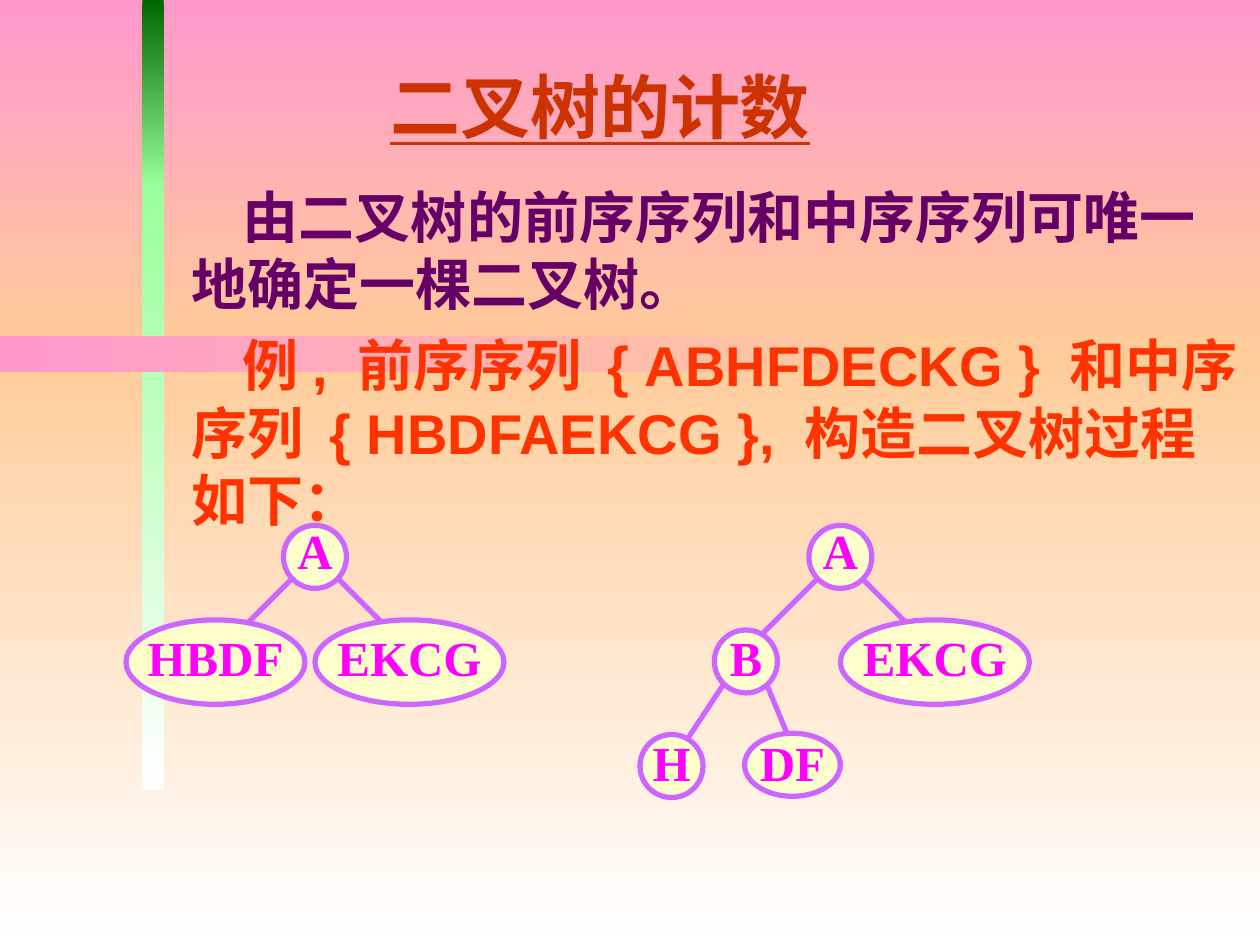
from dataclasses import dataclass

from lxml import etree
from pptx import Presentation
from pptx import util as u
from pptx.dml.color import RGBColor
from pptx.enum import shapes, text
from pptx.oxml import ns


@dataclass(frozen=True)
class Theme:
    pink: str = "FF99CC"
    peach: str = "FFCC99"
    white: str = "FFFFFF"
    dark_green: str = "006600"
    light_green: str = "99FF99"
    title: str = "CC3300"
    statement: str = "660066"
    example: str = "FF3300"
    node_fill: str = "FFFFCC"
    branch: str = "CC66FF"
    label: str = "FF00FF"
    title_font: str = "Roboto Condensed"
    body_font: str = "Arial"
    label_font: str = "Times New Roman"
    title_size: int = 40
    body_size: int = 32
    label_size: int = 28
    branch_width: int = 3


class SlideBuilder:
    def __init__(self, page, theme):
        self.page = page
        self.theme = theme

    def band(self, left, top, width, height, start, end, angle=270):
        shape = self.page.shapes.add_shape(
            shapes.MSO_SHAPE.RECTANGLE, *map(u.Inches, (left, top, width, height)))
        shape.shadow.inherit = False
        shape.line.fill.background()
        shape.fill.gradient()
        shape.fill.gradient_angle = angle
        for stop, color in zip(shape.fill.gradient_stops, (start, end)):
            stop.color.rgb = RGBColor.from_string(color)

    def branch(self, x1, y1, x2, y2):
        line = self.page.shapes.add_connector(
            shapes.MSO_CONNECTOR.STRAIGHT, *map(u.Inches, (x1, y1, x2, y2)))
        self.outline(line)
        etree.SubElement(line._element.spPr, ns.qn("a:effectLst"))

    def outline(self, shape):
        shape.line.color.rgb = RGBColor.from_string(self.theme.branch)
        shape.line.width = u.Pt(self.theme.branch_width)

    def text_box(self, left, top, width, height, paragraphs, font, size,
                 anchor=text.MSO_ANCHOR.MIDDLE, wrap=True):
        box = self.page.shapes.add_textbox(*map(u.Inches, (left, top, width, height)))
        frame = box.text_frame
        frame.word_wrap = wrap
        frame.vertical_anchor = anchor
        frame.text = "\n".join(words for words, _ in paragraphs)
        for para, (_, color) in zip(frame.paragraphs, paragraphs):
            for span in para.runs:
                span.font.name = font
                span.font.size = u.Pt(size)
                span.font.bold = True
                span.font.color.rgb = RGBColor.from_string(color)
        return frame

    def title(self, left, top, width, height, words):
        frame = self.text_box(left, top, width, height, [(words, self.theme.title)],
                              self.theme.title_font, self.theme.title_size)
        frame.paragraphs[0].runs[0].font.underline = True

    def body(self, left, top, width, height, paragraphs):
        frame = self.text_box(left, top, width, height, paragraphs, self.theme.body_font,
                              self.theme.body_size, text.MSO_ANCHOR.TOP)
        for index, para in enumerate(frame.paragraphs):
            para._p.get_or_add_pPr().set("indent", str(u.Inches(0.41)))
            if index:
                para.space_before = u.Pt(8)

    def node(self, words, left, top, width=0.5, height=0.5, label_top=None):
        oval = self.page.shapes.add_shape(
            shapes.MSO_SHAPE.OVAL, *map(u.Inches, (left, top, width, height)))
        oval.shadow.inherit = False
        oval.fill.solid()
        oval.fill.fore_color.rgb = RGBColor.from_string(self.theme.node_fill)
        self.outline(oval)
        label_top = top - 0.07 if label_top is None else label_top
        frame = self.text_box(left, label_top, width, 0.57, [(words, self.theme.label)],
                              self.theme.label_font, self.theme.label_size, wrap=False)
        frame.paragraphs[0].alignment = text.PP_ALIGN.CENTER


def main():
    deck = Presentation()
    deck.slide_width = u.Inches(10)
    deck.slide_height = u.Inches(7.5)
    theme = Theme()
    slide = SlideBuilder(deck.slides.add_slide(deck.slide_layouts[6]), theme)

    slide.band(0, 0, 10, 2.78, theme.pink, theme.peach)
    slide.band(0, 2.78, 10, 4.72, theme.peach, theme.white)
    slide.band(1.13, 0, 0.17, 1.48, theme.dark_green, theme.light_green)
    slide.band(1.13, 1.46, 0.17, 4.81, theme.light_green, theme.white)
    slide.band(0, 2.67, 7.45, 0.28, theme.pink, theme.peach, angle=0)

    for ends in [
        (6.08, 5.42, 6.25, 5.83),
        (5.75, 5.42, 5.42, 5.92),
        (6.5, 4.58, 6, 5.08),
        (6.83, 4.58, 7.33, 5.08),
        (2.67, 4.58, 3.17, 5.08),
        (2.33, 4.58, 1.83, 5.08),
    ]:
        slide.branch(*ends)

    slide.title(3, 0.5, 4.17, 0.67, "二叉树的计数")
    slide.body(1.42, 1.4, 8.58, 1.67, [
        ("由二叉树的前序序列和中序序列可唯一地确定一棵二叉树。", theme.statement),
        ("例, 前序序列 { ABHFDECKG } 和中序序列 { HBDFAEKCG }, 构造二叉树过程如下：",
         theme.example),
    ])

    for root_left, subtree_left in [(2.25, 2.5), (6.42, 6.67)]:
        slide.node("A", root_left, 4.17, label_top=4.08)
        slide.node("EKCG", subtree_left, 4.92, 1.5, 0.67, label_top=4.93)
    slide.node("HBDF", 1, 4.92, 1.42, 0.67, label_top=4.93)
    slide.node("B", 5.67, 5)
    slide.node("H", 5.08, 5.83)
    slide.node("DF", 5.91, 5.82, 0.76, label_top=5.76)

    deck.save("out.pptx")


if __name__ == "__main__":
    main()
